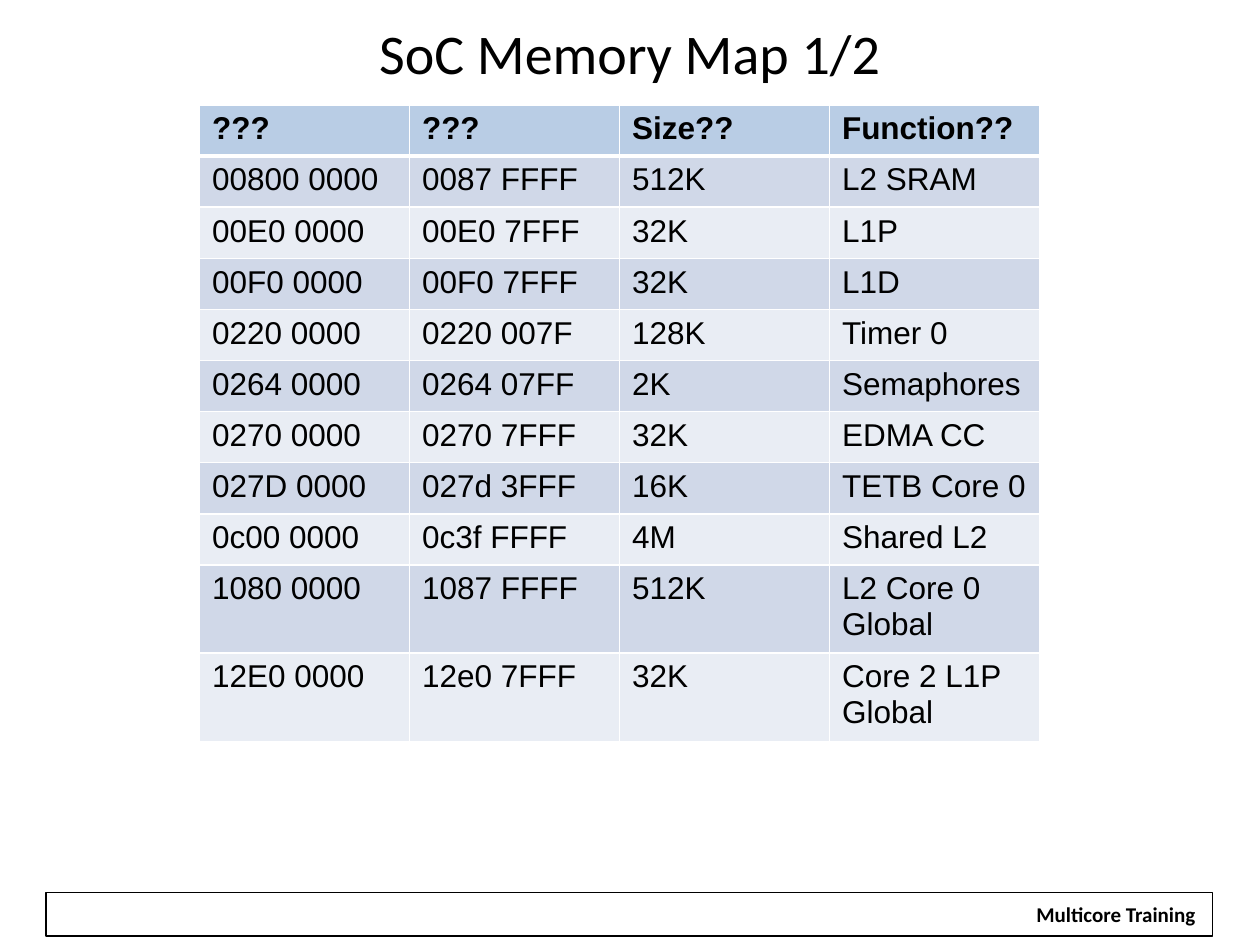
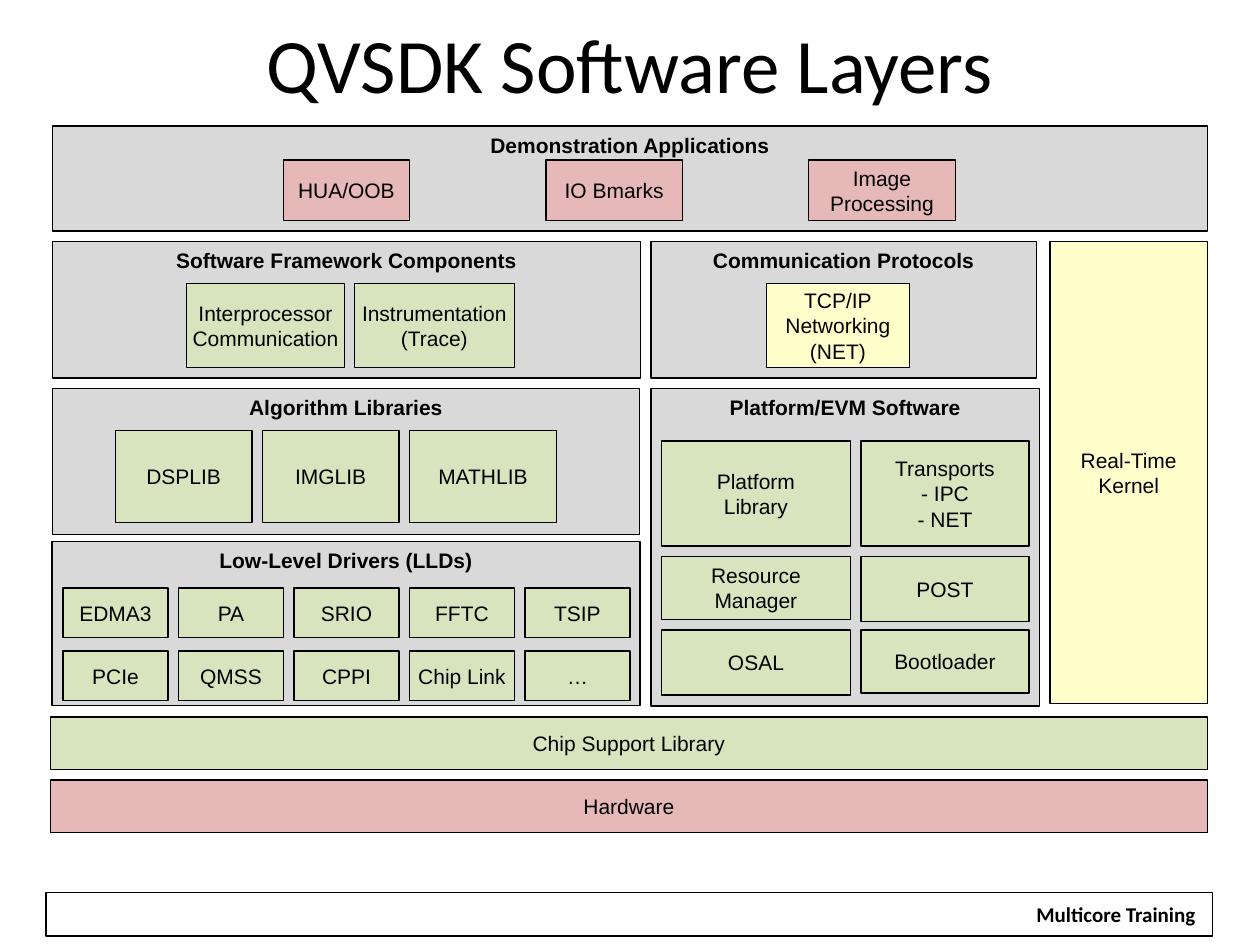
from lxml import etree
from pptx import Presentation, util as u
from pptx.dml.color import RGBColor
from pptx.enum import shapes, text
from pptx.oxml import ns

# The slide is a grid of 120 columns by 90 rows; one cell is 1/12 inch.
CELL = 1 / 12
COLS, ROWS = 120, 90

COLORS = {
    "ink": "000000", "paper": "FFFFFF", "panel": "D9D9D9",
    "green": "D7E4BD", "red": "E6B9B8", "yellow": "FFFFCC",
    "header": "B9CDE5", "odd": "D0D8E8", "even": "E9EDF4",
}
TITLE = {"name": "Calibri", "bold": False}
FOOTER = {"name": "Calibri", "size": u.Pt(12), "bold": True}
LABEL = {"name": "Arial", "size": u.Pt(12), "bold": False}
HEADING = {**LABEL, "bold": True}
CELL_TEXT = {"name": "Arial", "size": u.Pt(18), "bold": False}
CELL_HEAD = {**CELL_TEXT, "bold": True}

MEMORY_MAP = [
    ("???", "???", "Size??", "Function??"),
    ("00800 0000", "0087 FFFF", "512K", "L2 SRAM"),
    ("00E0 0000", "00E0 7FFF", "32K", "L1P"),
    ("00F0 0000", "00F0 7FFF", "32K", "L1D"),
    ("0220 0000", "0220 007F", "128K", "Timer 0"),
    ("0264 0000", "0264 07FF", "2K", "Semaphores"),
    ("0270 0000", "0270 7FFF", "32K", "EDMA CC"),
    ("027D 0000", "027d 3FFF", "16K", "TETB Core 0"),
    ("0c00 0000", "0c3f FFFF", "4M", "Shared L2"),
    ("1080 0000", "1087 FFFF", "512K", "L2 Core 0 Global"),
    ("12E0 0000", "12e0 7FFF", "32K", "Core 2 L1P Global"),
]
ROW_HEIGHTS = [4.87] * 9 + [7.9] * 2
DRIVERS = [
    ("EDMA3", "PA", "SRIO", "FFTC", "TSIP"),
    ("PCIe", "QMSS", "CPPI", "Chip Link", "…"),
]


def grid(*cells):
    return [u.Inches(n * CELL) for n in cells]


def rgb(name):
    return RGBColor.from_string(COLORS[name])


def set_attrs(obj, values):
    for name, value in values.items():
        setattr(obj, name, value)


def write(tf, words, font, align=text.PP_ALIGN.CENTER, **frame):
    """Fill a text frame; a line feed starts a paragraph, \\v breaks a line."""
    tf.text = words
    set_attrs(tf, frame)
    for p in tf.paragraphs:
        p.alignment = align
        set_attrs(p.font, font)
        p.font.color.rgb = rgb("ink")


def add_box(parent, box, fill=None, line=True):
    sp = parent.shapes.add_shape(shapes.MSO_SHAPE.RECTANGLE, *grid(*box))
    sp.shadow.inherit = False
    if fill:
        sp.fill.solid()
        sp.fill.fore_color.rgb = rgb(fill)
    else:
        sp.fill.background()
    if line:
        sp.line.color.rgb = rgb("ink")
        sp.line.width = u.Pt(0.75)
    else:
        sp.line.fill.background()
    return sp


def add_block(parent, box, words, fill):
    write(add_box(parent, box, fill).text_frame, words, LABEL,
          word_wrap=False, vertical_anchor=text.MSO_ANCHOR.MIDDLE)


def add_panel(s, box, heading, blocks, fill="green"):
    """Draw a titled panel whose blocks are placed from its top left corner."""
    group = s.shapes.add_group_shape()
    write(add_box(group, box, "panel").text_frame, heading, HEADING,
          word_wrap=False, vertical_anchor=text.MSO_ANCHOR.TOP)
    left, top = box[:2]
    for words, x, y, w, h in blocks:
        add_block(group, (left + x, top + y, w, h), words, fill)


def add_footer(s, box):
    left, top, width, height = box
    add_box(s, box)
    label = add_box(s, (left + width - 18.1, top + 0.3, 17.76, 3.6), "paper", line=False)
    write(label.text_frame, "Multicore Training", FOOTER,
          word_wrap=False, vertical_anchor=text.MSO_ANCHOR.TOP)


def add_title(s, box, words, size):
    tf = s.shapes.add_textbox(*grid(*box)).text_frame
    write(tf, words, {**TITLE, "size": u.Pt(size)},
          word_wrap=True, vertical_anchor=text.MSO_ANCHOR.MIDDLE)


def new_slide(prs, title, size, title_rows):
    s = prs.slides.add_slide(prs.slide_layouts[6])
    add_footer(s, (4.4, 85, 111.1, 4.15))
    add_title(s, (6, 1, 108, title_rows), title, size)
    return s


def set_borders(cell, widths):
    """Give a cell white borders; widths maps L, R, T and B to points."""
    tc_pr = cell._tc.get_or_add_tcPr()
    for i, (side, width) in enumerate(widths.items()):
        ln = etree.Element(ns.qn(f"a:ln{side}"), w=str(u.Pt(width)))
        fill = etree.SubElement(ln, ns.qn("a:solidFill"))
        etree.SubElement(fill, ns.qn("a:srgbClr"), val=COLORS["paper"])
        tc_pr.insert(i, ln)


def add_memory_table(s, box, rows, heights):
    table = s.shapes.add_table(len(rows), len(rows[0]), *grid(*box)).table
    for r, (values, height) in enumerate(zip(rows, heights)):
        table.rows[r].height = grid(height)[0]
        fill = "header" if r == 0 else "odd" if r % 2 else "even"
        for c, value in enumerate(values):
            cell = table.cell(r, c)
            cell.fill.solid()
            cell.fill.fore_color.rgb = rgb(fill)
            set_borders(cell, {"L": 1, "R": 1, "T": 3 if r == 1 else 1,
                               "B": 3 if r == 0 else 1})
            write(cell.text_frame, value, CELL_TEXT if r else CELL_HEAD,
                  text.PP_ALIGN.LEFT)


def memory_map_slide(prs):
    s = new_slide(prs, "SoC Memory Map 1/2", 32, 8)
    add_memory_table(s, (19, 10, 80, sum(ROW_HEIGHTS)), MEMORY_MAP, ROW_HEIGHTS)


def software_layers_slide(prs):
    s = new_slide(prs, "QVSDK Software Layers", 44, 10)
    add_panel(s, (5, 12, 110, 10), "Demonstration Applications", [
        (words, 22 + 25 * i, 3.25, 12 + i, 5.75)
        for i, words in enumerate(("HUA/OOB", "IO Bmarks", "Image\nProcessing"))
    ], "red")
    add_panel(s, (5, 23, 56, 13), "Software Framework Components", [
        ("Interprocessor\nCommunication", 12.75, 4, 15.1, 8),
        ("Instrumentation\n(Trace)", 28.75, 4, 15.25, 8),
    ])
    add_panel(s, (62, 23, 36.7, 13), "Communication Protocols", [
        ("TCP/IP\nNetworking\n(NET)", 11, 4, 13.6, 8),
    ], "yellow")
    add_panel(s, (5, 37, 55.9, 13.9), "Algorithm Libraries", [
        (words, 6 + 14 * i, 4, w, 8.75)
        for i, (words, w) in enumerate((("DSPLIB", 13), ("IMGLIB", 13), ("MATHLIB", 14)))
    ])
    add_panel(s, (4.95, 51.6, 56, 15.6), "Low-Level Drivers (LLDs)", [
        (words, 1.05 + 11 * c, 4.4 + 6 * r, 10, 4.7)
        for r, names in enumerate(DRIVERS) for c, words in enumerate(names)
    ])
    add_panel(s, (62, 37, 37, 30.25), "Platform/EVM Software", [
        ("Platform\nLibrary", 1, 5, 18, 10),
        ("Transports\v- IPC\v- NET", 20, 5, 16, 10),
        ("Resource\nManager", 1, 16, 18, 6),
        ("POST", 20, 16, 16, 6.2),
        ("OSAL", 1, 23, 18, 6.2),
        ("Bootloader", 20, 23, 16, 6),
    ])
    add_block(s, (100, 23, 15, 44), "Real-Time\nKernel", "yellow")
    base_layers = (("Chip Support Library", "green"), ("Hardware", "red"))
    for i, (words, fill) in enumerate(base_layers):
        add_block(s, (4.8, 68.3 + 6 * i, 110.2, 5), words, fill)


def main():
    prs = Presentation()
    prs.slide_width, prs.slide_height = grid(COLS, ROWS)
    memory_map_slide(prs)
    software_layers_slide(prs)
    prs.save("out.pptx")


if __name__ == "__main__":
    main()
